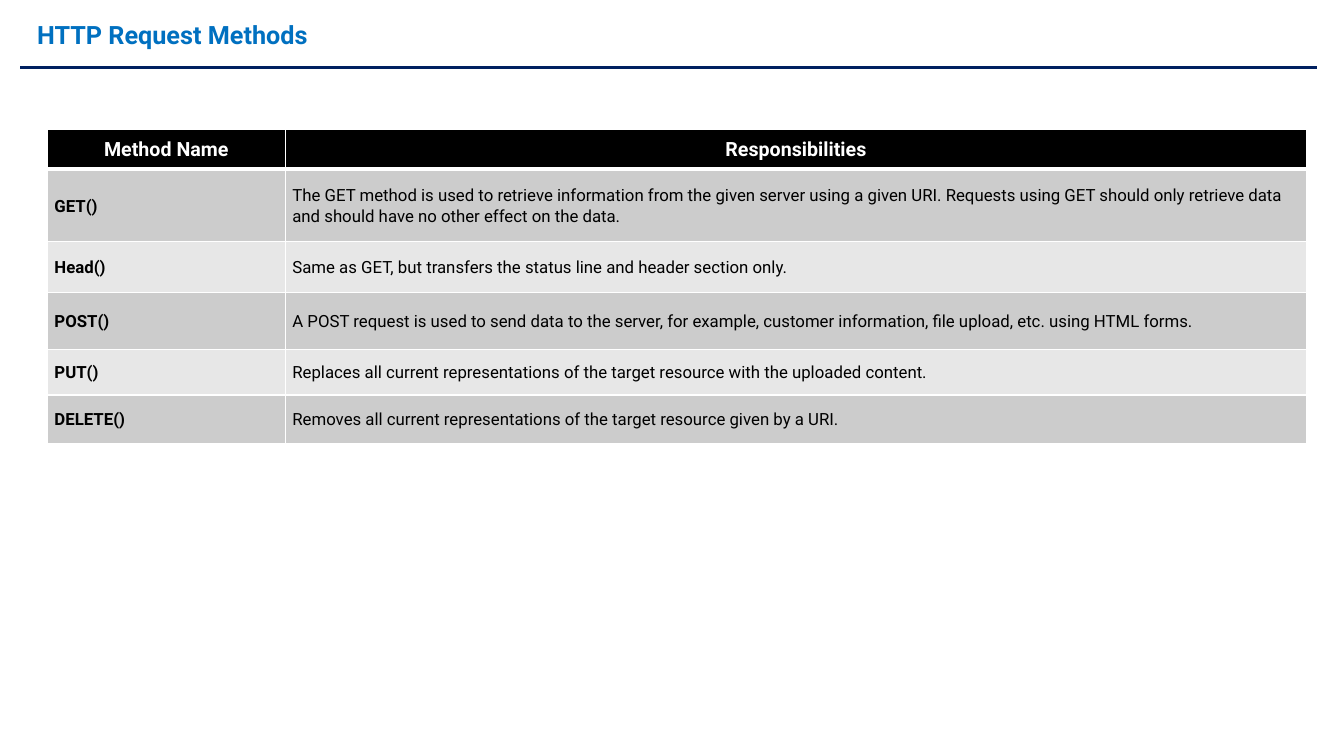
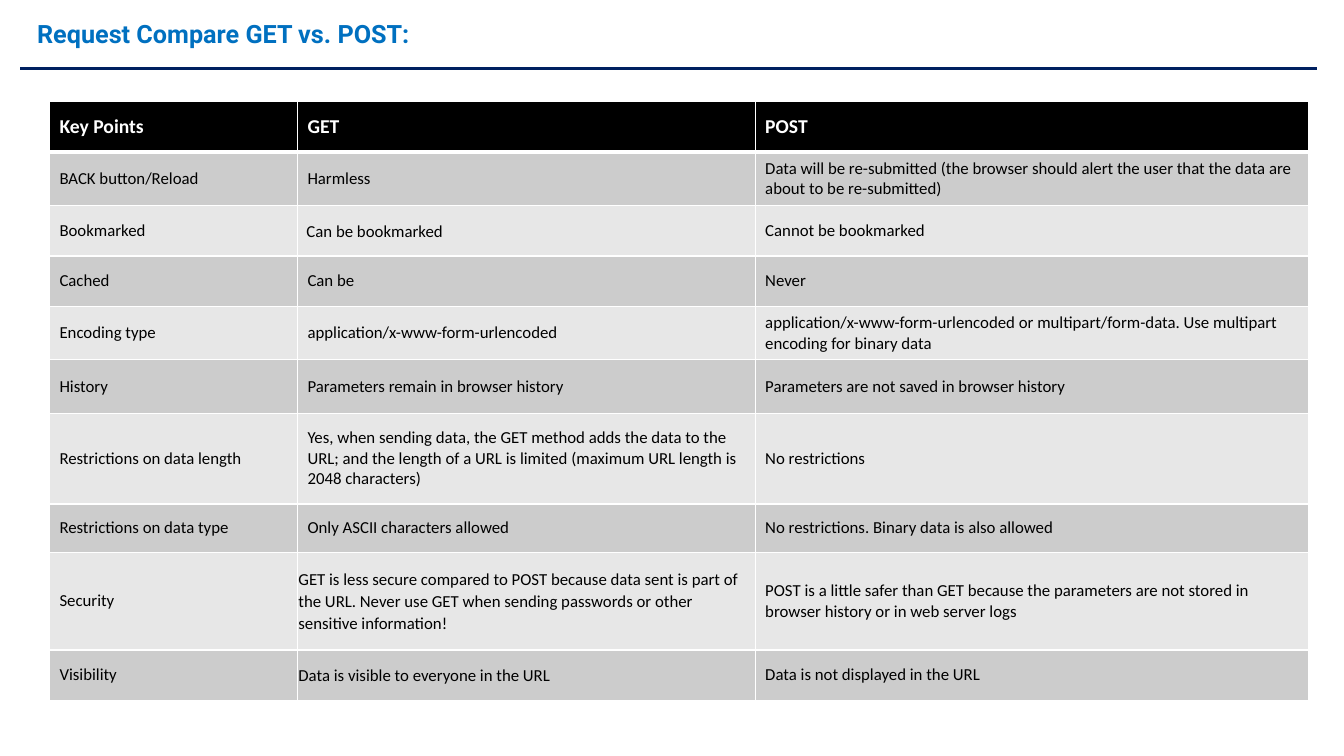
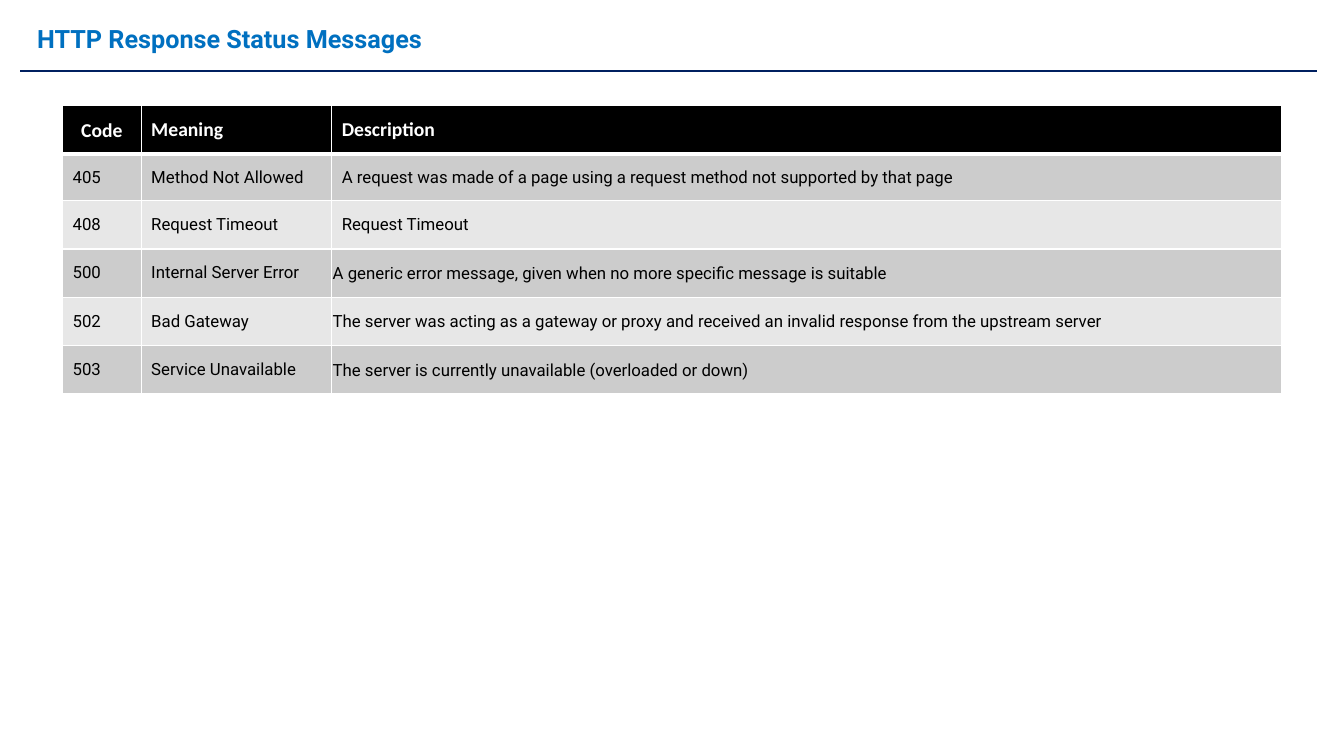
from typing import NamedTuple

from lxml import etree
from pptx import Presentation
from pptx.dml.color import RGBColor
from pptx.enum.shapes import MSO_CONNECTOR
from pptx.enum.text import MSO_ANCHOR, MSO_AUTO_SIZE, PP_ALIGN
from pptx.oxml.ns import qn
from pptx.util import Inches, Pt

TITLE_BLUE = "0070C0"
RULE_NAVY = "002060"
WHITE = "FFFFFF"
BLACK = "000000"
BANDS = ("CCCCCC", "E7E7E7")


class CellStyle(NamedTuple):
    left: float = 0.1
    right: float = 0.1
    vertical: float = 0.05
    line_spacing: float = 1.0
    space_after: float = 0
    align: PP_ALIGN = PP_ALIGN.LEFT


ROOMY = CellStyle()
SNUG = CellStyle(0.07, 0.07, 0, 1.07)
SNUG_CENTRED = SNUG._replace(align=PP_ALIGN.CENTER)
TIGHT = CellStyle(0.01, 0.01, 0.01, 1.07)
TIGHT_SPACED = TIGHT._replace(space_after=8)
TIGHT_INDENTED = TIGHT_SPACED._replace(left=0.09)


def color(hex_code):
    return RGBColor.from_string(hex_code)


def style_font(paragraph, face, size, hex_code, bold):
    for run in paragraph.runs:
        run.font.name = face
        run.font.size = Pt(size)
        run.font.color.rgb = color(hex_code)
        run.font.bold = bold


def add_heading(slide, text, top, height, rule_y, line_spacing=1.07):
    heading = slide.shapes.add_textbox(Inches(0.27), Inches(top), Inches(6.47), Inches(height))
    frame = heading.text_frame
    frame.word_wrap = True
    frame.auto_size = MSO_AUTO_SIZE.SHAPE_TO_FIT_TEXT
    frame.text = text
    frame.paragraphs[0].line_spacing = line_spacing
    style_font(frame.paragraphs[0], "Roboto", 18, TITLE_BLUE, True)

    rule = slide.shapes.add_connector(
        MSO_CONNECTOR.STRAIGHT, Inches(13.06), Inches(rule_y), Inches(0.2), Inches(rule_y))
    rule.line.color.rgb = color(RULE_NAVY)
    rule.line.width = Pt(1.5)
    etree.SubElement(rule._element.spPr, qn("a:effectLst"))


def set_borders(cell, top, bottom):
    properties = cell._tc.get_or_add_tcPr()
    widths = {"lnL": 1, "lnR": 1, "lnT": top, "lnB": bottom}
    for position, (edge, width) in enumerate(widths.items()):
        border = etree.Element(qn(f"a:{edge}"), w=str(Pt(width)))
        fill = etree.SubElement(border, qn("a:solidFill"))
        etree.SubElement(fill, qn("a:srgbClr"), val=WHITE)
        properties.insert(position, border)


def fill_cell(cell, text, style, face, row):
    is_header = row == 0
    cell.text_frame.text = text
    cell.vertical_anchor = MSO_ANCHOR.MIDDLE
    cell.margin_left, cell.margin_right = Inches(style.left), Inches(style.right)
    cell.margin_top = cell.margin_bottom = Inches(style.vertical)
    cell.fill.solid()
    cell.fill.fore_color.rgb = color(BLACK if is_header else BANDS[(row - 1) % 2])
    set_borders(cell, top=3 if row == 1 else 1, bottom=3 if is_header else 1)

    paragraph = cell.text_frame.paragraphs[0]
    paragraph.alignment = style.align
    paragraph.line_spacing = style.line_spacing
    paragraph.space_after = Pt(style.space_after)
    bold = is_header or text.endswith("()")
    style_font(paragraph, face, 14 if is_header else 12, WHITE if is_header else BLACK, bold)


def add_grid(slide, left, top, widths, heights, rows, header_face, body_face,
             base_style=ROOMY, special_styles=None):
    special_styles = special_styles or {}
    grid = slide.shapes.add_table(
        len(rows), len(widths), Inches(left), Inches(top),
        Inches(sum(widths)), Inches(sum(heights))).table
    for column, width in zip(grid.columns, widths):
        column.width = Inches(width)
    for grid_row, height in zip(grid.rows, heights):
        grid_row.height = Inches(height)
    for r, texts in enumerate(rows):
        for c, text in enumerate(texts):
            fill_cell(grid.cell(r, c), text, special_styles.get((r, c), base_style),
                      header_face if r == 0 else body_face, r)


def build_methods(slide):
    add_heading(slide, "HTTP Request Methods", 0.12, 0.41, 0.67)
    rows = [
        ("Method Name", "Responsibilities"),
        ("GET()", "The GET method is used to retrieve information from the given server using "
                  "a given URI. Requests using GET should only retrieve data and should have no "
                  "other effect on the data."),
        ("Head()", "Same as GET, but transfers the status line and header section only."),
        ("POST()", "A POST request is used to send data to the server, for example, customer "
                   "information, file upload, etc. using HTML forms."),
        ("PUT()", "Replaces all current representations of the target resource with the "
                  "uploaded content."),
        ("DELETE()", "Removes all current representations of the target resource given by a URI."),
    ]
    add_grid(slide, 0.47, 1.28, (2.36, 10.13), (0.4, 0.72, 0.5, 0.57, 0.45, 0.48), rows,
             "Roboto", "Roboto", SNUG, {(0, 0): SNUG_CENTRED, (0, 1): SNUG_CENTRED})


def build_comparison(slide):
    add_heading(slide, "Request Compare GET vs. POST:", 0.11, 0.41, 0.68)
    rows = [
        ("Key Points", "GET", "POST"),
        ("BACK button/Reload", "Harmless",
         "Data will be re-submitted (the browser should alert the user that the data are about "
         "to be re-submitted)"),
        ("Bookmarked", "Can be bookmarked", "Cannot be bookmarked"),
        ("Cached", "Can be", "Never"),
        ("Encoding type", "application/x-www-form-urlencoded",
         "application/x-www-form-urlencoded or multipart/form-data. Use multipart encoding for "
         "binary data"),
        ("History", "Parameters remain in browser history",
         "Parameters are not saved in browser history"),
        ("Restrictions on data length",
         "Yes, when sending data, the GET method adds the data to the URL; and the length of a "
         "URL is limited (maximum URL length is 2048 characters)",
         "No restrictions"),
        ("Restrictions on data type", "Only ASCII characters allowed",
         "No restrictions. Binary data is also allowed"),
        ("Security",
         "GET is less secure compared to POST because data sent is part of the URL. Never use "
         "GET when sending passwords or other sensitive information!",
         "POST is a little safer than GET because the parameters are not stored in browser "
         "history or in web server logs"),
        ("Visibility", "Data is visible to everyone in the URL",
         "Data is not displayed in the URL"),
    ]
    add_grid(slide, 0.49, 1.01, (2.46, 4.54, 5.49),
             (0.5, 0.53, 0.5, 0.5, 0.53, 0.53, 0.9, 0.48, 0.97, 0.5), rows,
             "Calibri", "Calibri", special_styles={
                 (2, 1): TIGHT_INDENTED, (8, 1): TIGHT_SPACED, (9, 1): TIGHT_SPACED})


def build_statuses(slide):
    add_heading(slide, "HTTP Response Status Messages", 0.03, 0.5, 0.7, line_spacing=1.5)
    rows = [
        ("Code", "Meaning", "Description"),
        ("405", "Method Not Allowed",
         "A request was made of a page using a request method not supported by that page"),
        ("408", "Request Timeout", "Request Timeout"),
        ("500", "Internal Server Error",
         "A generic error message, given when no more specific message is suitable"),
        ("502", "Bad Gateway",
         "The server was acting as a gateway or proxy and received an invalid response from "
         "the upstream server"),
        ("503", "Service Unavailable",
         "The server is currently unavailable (overloaded or down)"),
    ]
    special_styles = {(row, 2): TIGHT for row in (3, 4, 5)}
    special_styles[0, 0] = SNUG_CENTRED
    add_grid(slide, 0.62, 1.05, (0.78, 1.89, 9.42), (0.48, 0.46) + (0.48,) * 4, rows,
             "Calibri", "Roboto", special_styles=special_styles)


deck = Presentation()
deck.slide_width, deck.slide_height = Inches(13.33), Inches(7.5)
for build in (build_methods, build_comparison, build_statuses):
    build(deck.slides.add_slide(deck.slide_layouts[6]))
deck.save("out.pptx")
